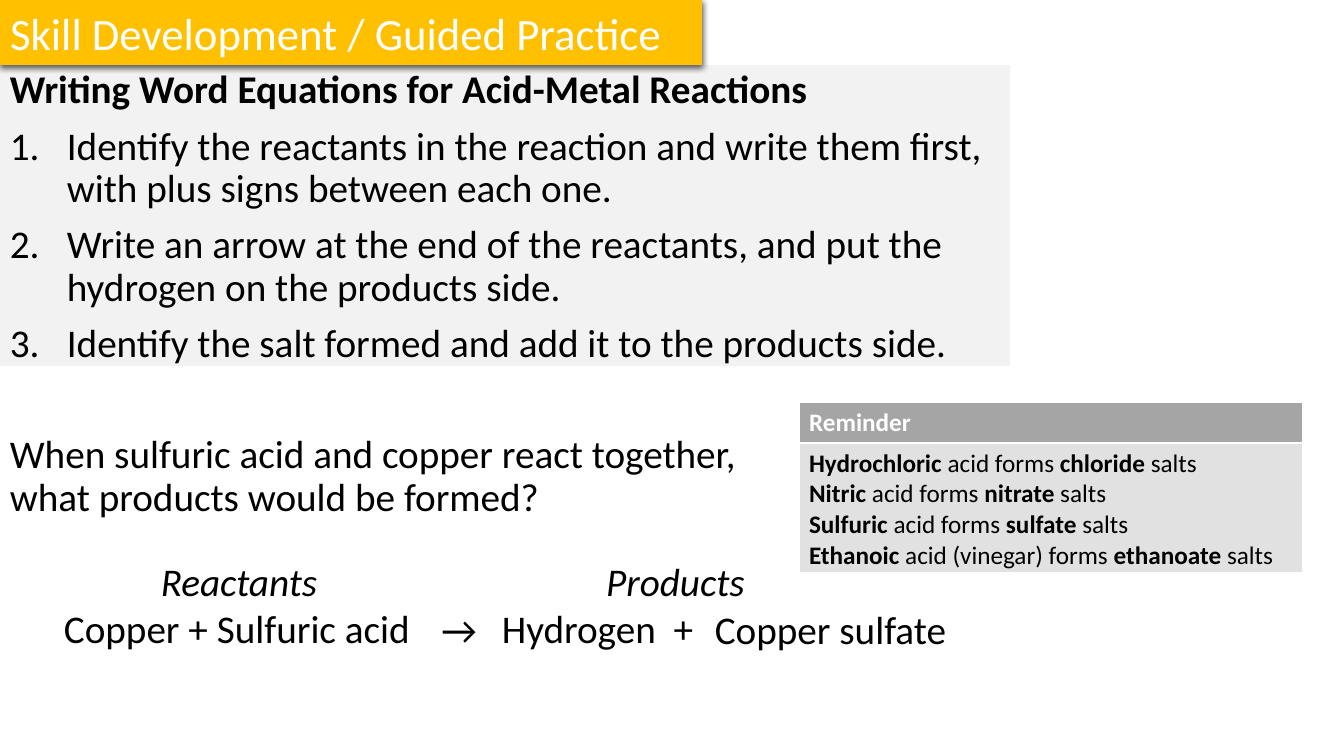
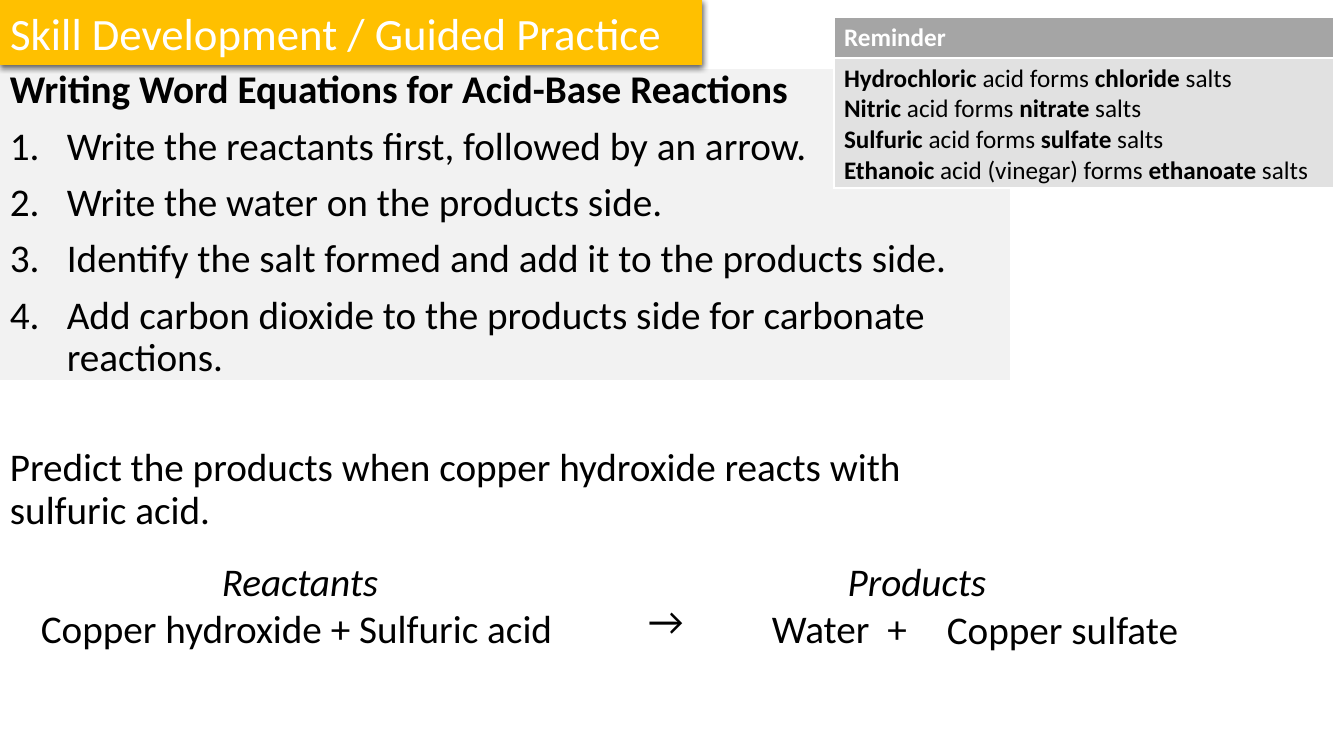
import lxml.etree
import pptx
import pptx.dml.color
import pptx.enum.shapes
import pptx.enum.text
import pptx.oxml
import pptx.util

SCALE = 914400 / 100.8  # EMU in one px
FONT = "Calibri"
INK = {
    "black": "000000", "white": "FFFFFF", "gold": "FFC000",
    "panel": "F2F2F2", "head": "A5A5A5", "cell": "E1E1E1",
}
NS = 'xmlns:a="http://schemas.openxmlformats.org/drawingml/2006/main"'
PLATE = f'<a:prstGeom {NS} prst="homePlate"><a:avLst/></a:prstGeom>'
SHADOW = f"""<a:effectLst {NS}>
<a:outerShdw blurRad="57150" dist="19050" dir="5400000" algn="ctr" rotWithShape="0">
<a:srgbClr val="{INK['black']}"><a:alpha val="63000"/></a:srgbClr>
</a:outerShdw></a:effectLst>"""
RGB = pptx.dml.color.RGBColor.from_string
ALIGN = pptx.enum.text.PP_ALIGN
ANCHOR = pptx.enum.text.MSO_ANCHOR

BANNER = "Skill Development / Guided Practice"
SALTS = [
    "**Hydrochloric** acid forms **chloride** salts",
    "**Nitric** acid forms **nitrate** salts",
    "**Sulfuric** acid forms **sulfate** salts",
    "**Ethanoic** acid (vinegar) forms **ethanoate** salts",
]
LESSONS = [
    {
        "panel": (0, 65, 1010, 301),
        "head": "Writing Word Equations for Acid-Metal Reactions",
        "steps": [
            "Identify the reactants in the reaction and write them first, "
            "with plus signs between each one.",
            "Write an arrow at the end of the reactants, and put the hydrogen "
            "on the products side.",
            "Identify the salt formed and add it to the products side.",
        ],
        "ask": "When sulfuric acid and copper react together, "
               "what products would be formed?",
        "ask_box": (0, 430, 790, 100),
        "sides": [
            ("Reactants", "Copper + Sulfuric acid", (54, 552, 370, 105)),
            ("Products", "Hydrogen  +", (492, 552, 367, 105)),
        ],
        "arrow": (429, 600, 60, 57),
        "salt": (705, 600, 270, 57),
        "table": (799, 402, 504),
    },
    {
        "panel": (0, 69, 1010, 311),
        "head": "Writing Word Equations for Acid-Base Reactions",
        "steps": [
            "Write the reactants first, followed by an arrow.",
            "Write the water on the products side.",
            "Identify the salt formed and add it to the products side.",
            "Add carbon dioxide to the products side for carbonate reactions.",
        ],
        "ask": "Predict the products when copper hydroxide reacts with "
               "sulfuric acid.",
        "ask_box": (0, 443, 1010, 100),
        "sides": [
            ("Reactants", "Copper hydroxide + Sulfuric acid", (31, 552, 538, 105)),
            ("Products", "Water  +", (762, 552, 310, 105)),
        ],
        "arrow": (636, 591, 60, 57),
        "salt": (937, 600, 270, 57),
        "table": (834, 17, 500),
    },
]


def px(*nums):
    return [pptx.util.Emu(round(n * SCALE)) for n in nums]


def text(frame, words, size=28, ink="black", italic=False, align=ALIGN.LEFT,
         before=0, lines=1.0, number=False):
    """Add one paragraph; words between ** marks are bold."""
    frame.word_wrap = True
    para = frame.paragraphs[0]
    if para.runs:
        para = frame.add_paragraph()
    if number:
        props = para._p.get_or_add_pPr()
        left = px(57)[0]
        props.set("marL", str(left))
        props.set("indent", str(-left))
        props.append(pptx.oxml.parse_xml(f'<a:buAutoNum {NS} type="arabicPeriod"/>'))
    para.alignment = align
    para.space_before = pptx.util.Pt(before)
    para.line_spacing = lines
    for i, part in enumerate(words.split("**")):
        if part:
            run = para.add_run()
            run.text = part
            run.font.name = FONT
            run.font.size = pptx.util.Pt(size)
            run.font.bold = i % 2 == 1
            run.font.italic = italic
            run.font.color.rgb = RGB(INK[ink])


deck = pptx.Presentation()
deck.slide_width, deck.slide_height = px(1344, 756)

for lesson in LESSONS:
    slide = deck.slides.add_slide(deck.slide_layouts[5])
    shapes = slide.shapes

    panel = shapes.add_shape(pptx.enum.shapes.MSO_SHAPE.RECTANGLE, *px(*lesson["panel"]))
    panel.shadow.inherit = False
    panel.fill.solid()
    panel.fill.fore_color.rgb = RGB(INK["panel"])
    panel.line.fill.background()

    # Title in a gold arrow plate, above the panel
    title = shapes.title
    title.left, title.top, title.width, title.height = px(0, 0, 702, 65)
    props = title._element.spPr
    props.append(pptx.oxml.parse_xml(PLATE))
    title.fill.solid()
    title.fill.fore_color.rgb = RGB(INK["gold"])
    title.line.color.rgb = RGB(INK["gold"])
    title.line.width = pptx.util.Pt(0.75)
    props.append(pptx.oxml.parse_xml(SHADOW))
    title.text_frame.auto_size = pptx.enum.text.MSO_AUTO_SIZE.NONE
    title.text_frame.vertical_anchor = ANCHOR.MIDDLE
    text(title.text_frame, BANNER, size=32, ink="white")
    panel._element.addnext(title._element)

    # Steps and question
    frame = shapes.add_textbox(*px(0, 65, 1010, 310)).text_frame
    text(frame, f"**{lesson['head']}**", lines=0.9)
    for step in lesson["steps"]:
        text(frame, step, before=10, lines=0.9, number=True)
    frame = shapes.add_textbox(*px(*lesson["ask_box"])).text_frame
    text(frame, lesson["ask"], lines=0.9)

    # Word equation
    for label, words, place in lesson["sides"]:
        frame = shapes.add_textbox(*px(*place)).text_frame
        text(frame, label, italic=True, align=ALIGN.CENTER)
        text(frame, words)
    frame = shapes.add_textbox(*px(*lesson["arrow"])).text_frame
    text(frame, "→", align=ALIGN.CENTER)
    frame = shapes.add_textbox(*px(*lesson["salt"])).text_frame
    text(frame, "Copper sulfate")

    # Reminder table
    table = shapes.add_table(2, 1, *px(*lesson["table"], 171)).table
    rows = [("head", "white", 41, ["**Reminder**"]), ("cell", "black", 130, SALTS)]
    for i, (fill, ink, high, lines) in enumerate(rows):
        table.rows[i].height = px(high)[0]
        cell = table.cell(i, 0)
        cell.margin_bottom = px(2)[0]
        cell.fill.solid()
        cell.fill.fore_color.rgb = RGB(INK[fill])
        for line in lines:
            text(cell.text_frame, line, size=18, ink=ink)

deck.save("out.pptx")
